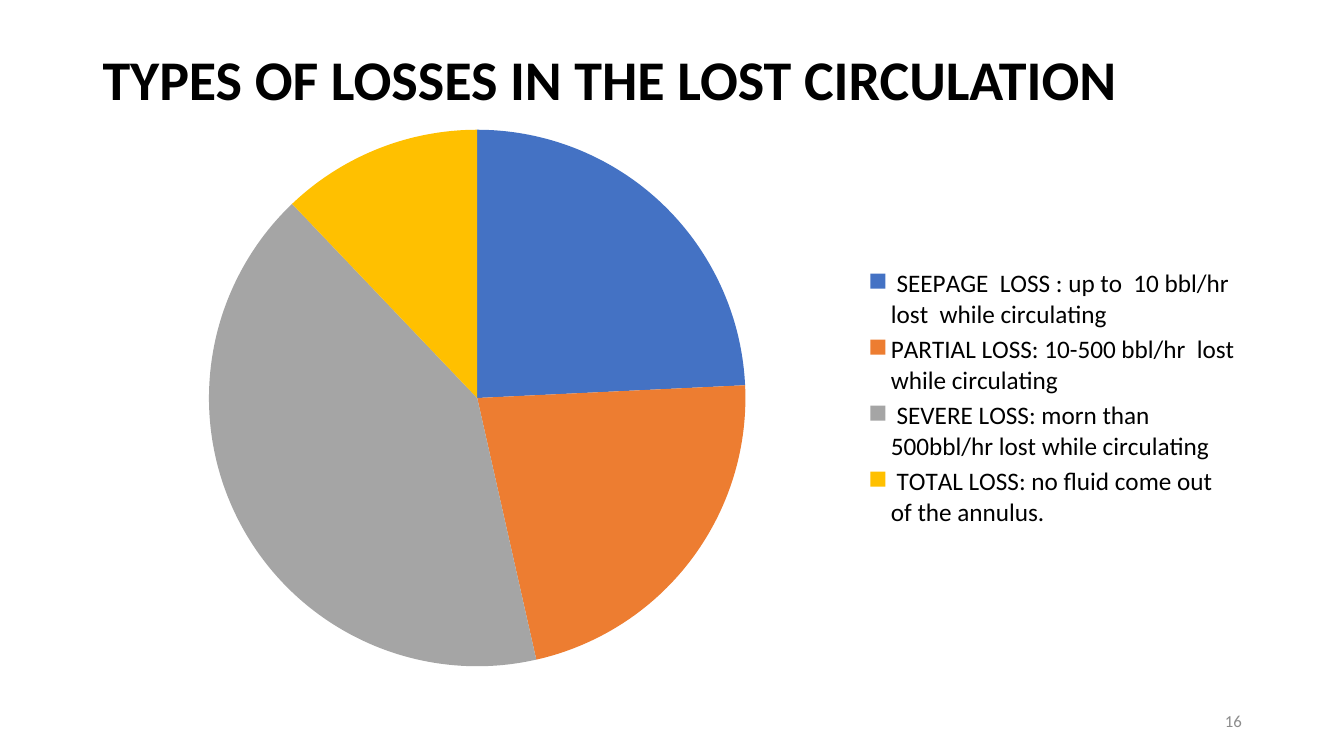
"""Build the slide on the types of lost circulation losses."""
from pptx import Presentation
from pptx.chart.data import CategoryChartData
from pptx.dml.color import RGBColor
from pptx.enum.chart import XL_CHART_TYPE as ChartType, XL_LEGEND_POSITION as LegendPosition
from pptx.enum.text import MSO_ANCHOR as Anchor, MSO_AUTO_SIZE as AutoSize, PP_ALIGN as Align
from pptx.util import Cm, Pt

COLOURS = {
    "title": "000000",
    "number": "8C8C8C",
    "seepage": "4472C4",
    "partial": "ED7D31",
    "severe": "A5A5A5",
    "total": "FFC000",
}
LOSSES = [
    ("seepage", " SEEPAGE  LOSS : up to  10 bbl/hr  lost  while circulating", 24),
    ("partial", "PARTIAL LOSS: 10-500 bbl/hr  lost while circulating", 22),
    ("severe", " SEVERE LOSS: morn than  500bbl/hr lost while circulating", 41),
    ("total", " TOTAL LOSS: no fluid come out of the annulus.", 12),
]


def format_font(font, colour, **values):
    for name, value in {"name": "Calibri", **values}.items():
        setattr(font, name, value)
    font.color.rgb = RGBColor.from_string(COLOURS[colour])


def place(shape, left, top, width, height):
    box = {"left": left, "top": top, "width": width, "height": height}
    for name, value in box.items():
        setattr(shape, name, Cm(value))


def write_line(shape, text, align, colour, spacing=1.0, **font_values):
    frame = shape.text_frame
    frame_format = {
        "word_wrap": True,
        "auto_size": AutoSize.NONE,
        "vertical_anchor": Anchor.MIDDLE,
    }
    for name, value in frame_format.items():
        setattr(frame, name, value)
    para = frame.paragraphs[0]
    para.alignment = align
    para.line_spacing = spacing
    span = para.add_run()
    span.text = text
    format_font(span.font, colour, **font_values)


def add_title(page, text):
    title = page.shapes.title
    place(title, 2.33, 1.01, 29.21, 2.11)
    write_line(title, text, Align.LEFT, "title", spacing=0.9, size=Pt(40), bold=True)


def add_page_number(page, text):
    box = page.shapes.add_textbox(Cm(23.93), Cm(17.65), Cm(7.62), Cm(1.02))
    write_line(box, text, Align.RIGHT, "number", size=Pt(12))


def add_loss_pie(page):
    data = CategoryChartData()
    data.categories = [label for _, label, _ in LOSSES]
    data.add_series("Series 1", [share for _, _, share in LOSSES])
    frame = page.shapes.add_chart(
        ChartType.PIE, Cm(2.33), Cm(2.92), Cm(29.21), Cm(14.22), data
    )
    chart = frame.chart
    chart.has_title = False
    format_font(chart.font, "title", size=Pt(18))
    chart.has_legend = True
    chart.legend.position = LegendPosition.RIGHT
    chart.legend.include_in_layout = False
    plot = chart.plots[0]
    plot.vary_by_categories = True
    for index, (kind, _, _) in enumerate(LOSSES):
        fill = plot.series[0].points[index].format.fill
        fill.solid()
        fill.fore_color.rgb = RGBColor.from_string(COLOURS[kind])


def main():
    deck = Presentation()
    deck.slide_width, deck.slide_height = Cm(33.87), Cm(19.05)
    page = deck.slides.add_slide(deck.slide_layouts[5])
    add_page_number(page, "16")
    add_loss_pie(page)
    add_title(page, "TYPES OF LOSSES IN THE LOST CIRCULATION")
    deck.save("out.pptx")


if __name__ == "__main__":
    main()
